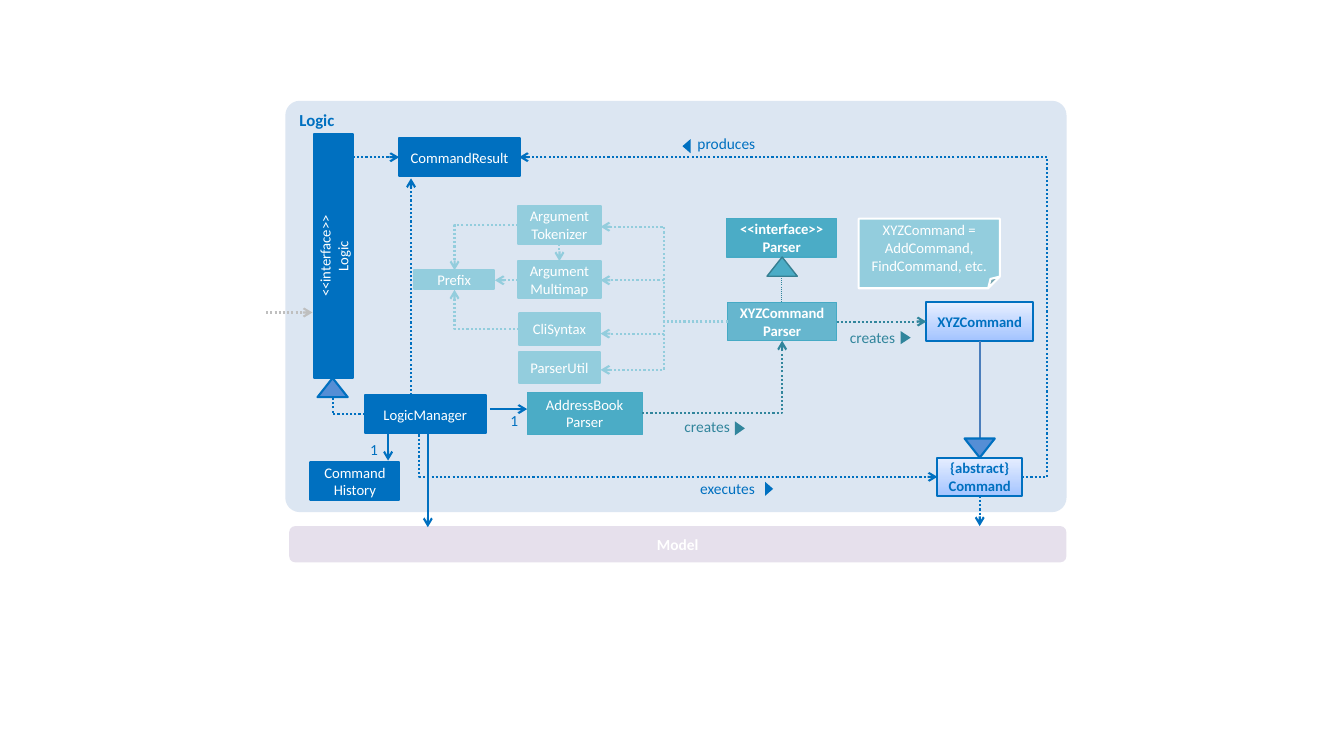
from lxml import etree
from pptx import Presentation
from pptx.dml.color import RGBColor
from pptx.enum.dml import MSO_LINE
from pptx.enum.shapes import MSO_CONNECTOR, MSO_SHAPE
from pptx.enum.text import MSO_ANCHOR, PP_ALIGN
from pptx.oxml.ns import qn
from pptx.util import Pt

RECT, ROUNDED = MSO_SHAPE.RECTANGLE, MSO_SHAPE.ROUNDED_RECTANGLE
TRIANGLE, NOTE = MSO_SHAPE.ISOSCELES_TRIANGLE, MSO_SHAPE.FOLDED_CORNER
STRAIGHT, ELBOW = MSO_CONNECTOR.STRAIGHT, MSO_CONNECTOR.ELBOW
SOLID, DOTTED = MSO_LINE.SOLID, MSO_LINE.ROUND_DOT
TOP, MIDDLE = MSO_ANCHOR.TOP, MSO_ANCHOR.MIDDLE
LEFT, CENTER, RIGHT = PP_ALIGN.LEFT, PP_ALIGN.CENTER, PP_ALIGN.RIGHT

WHITE = RGBColor(0xFF, 0xFF, 0xFF)
BLUE = RGBColor(0x00, 0x70, 0xC0)
MID_BLUE = RGBColor(0x55, 0x8E, 0xD5)
STEEL = RGBColor(0x4B, 0x7E, 0xBC)
PANEL = RGBColor(0xDC, 0xE6, 0xF2)
LILAC = RGBColor(0xE6, 0xE0, 0xEC)
TEAL = RGBColor(0x4B, 0xAC, 0xC6)
TEAL_EDGE = RGBColor(0x46, 0xAA, 0xC5)
TEAL_RIM = RGBColor(0x37, 0x7F, 0x92)
DARK_TEAL = RGBColor(0x31, 0x85, 0x9C)
PALE_TEAL = RGBColor(0x93, 0xCD, 0xDD)
GRAY = RGBColor(0xBF, 0xBF, 0xBF)
GRADIENT = (RGBColor(0xA4, 0xC4, 0xFF), RGBColor(0xE6, 0xEE, 0xFF))

deck = Presentation()
deck.slide_width, deck.slide_height = Pt(960), Pt(540)
page = deck.slides.add_slide(deck.slide_layouts[6])


def add_box(kind, frame, fill, edge=None, weight=1.5, rotation=0):
    box = page.shapes.add_shape(kind, *map(Pt, frame))
    box.shadow.inherit = False
    box.rotation = rotation
    if fill is GRADIENT:
        box.fill.gradient()
        box.fill.gradient_angle = 90
        for stop, color in zip(box.fill.gradient_stops, fill):
            stop.color.rgb = color
    else:
        box.fill.solid()
        box.fill.fore_color.rgb = fill
    if edge is None:
        box.line.fill.background()
    else:
        box.line.color.rgb = edge
        box.line.width = Pt(weight)
    return box


def write(box, text, color, size=10.5, bold=False, align=CENTER, anchor=MIDDLE, margin=0):
    frame = box.text_frame
    frame.text = text
    layout = {"word_wrap": True, "vertical_anchor": anchor, "margin_left": Pt(margin),
              "margin_right": Pt(margin), "margin_top": Pt(margin / 2), "margin_bottom": Pt(margin / 2)}
    for name, value in layout.items():
        setattr(frame, name, value)
    for para in frame.paragraphs:
        para.alignment = align
        for span in para.runs:
            span.font.color.rgb = color
            for name, value in {"name": "Calibri", "size": Pt(size), "bold": bold}.items():
                setattr(span.font, name, value)


logic_panel = add_box(ROUNDED, (203.8, 72, 558, 293.8), PANEL)
logic_panel.adjustments[0] = 0.035
write(logic_panel, "Logic", BLUE, 12, True, LEFT, TOP, 7.2)
model_bar = add_box(ROUNDED, (206.6, 375.8, 555.1, 25.9), LILAC)
write(model_bar, "Model", WHITE, 11, True)

STYLES = {
    "core": (BLUE, BLUE, 1.5, WHITE, False),
    "command": (GRADIENT, BLUE, 1.5, BLUE, True),
    "parser": (TEAL, TEAL_EDGE, 0.75, WHITE, False),
    "parser type": (TEAL, TEAL_EDGE, 0.75, WHITE, True),
    "helper": (PALE_TEAL, PALE_TEAL, 1.5, WHITE, False),
    "note": (PALE_TEAL, WHITE, 1.5, WHITE, False),
}
CLASSES = [
    ("CommandResult", "core", (285.1, 98.6, 86.4, 27.4)),
    ("LogicManager", "core", (260.6, 282.2, 86.4, 27.4)),
    ("Command\nHistory", "core", (221.8, 329.8, 63.4, 27.4)),
    ("<<interface>>\nLogic", "core", (151.2, 169.2, 174.2, 27.4)),
    ("XYZCommand", "command", (661.7, 216, 76.3, 27.4)),
    ("{abstract}\nCommand", "command", (669.6, 326.9, 60.5, 27.4)),
    ("AddressBook\nParser", "parser", (376.6, 280.1, 82.1, 30.2)),
    ("<<interface>>\nParser", "parser type", (519.1, 156.2, 78.5, 27.4)),
    ("XYZCommand\nParser", "parser type", (519.8, 216, 77.8, 27.4)),
    ("Argument\nTokenizer", "helper", (370.1, 146.9, 59, 27.4)),
    ("Argument\nMultimap", "helper", (370.1, 186.5, 59, 26.6)),
    ("Prefix", "helper", (295.9, 193, 56.9, 13.7)),
    ("CliSyntax", "helper", (370.8, 223.9, 57.6, 22.3)),
    ("ParserUtil", "helper", (370.8, 251.3, 57.6, 22.3)),
    ("XYZCommand = AddCommand, FindCommand, etc.", "note", (613.4, 156.2, 100.8, 49.7)),
]
boxes = {}
for text, style, frame in CLASSES:
    fill, edge, weight, color, bold = STYLES[style]
    box = add_box(NOTE if style == "note" else RECT, frame, fill, edge, weight)
    write(box, text, color, bold=bold)
    boxes[text] = box
boxes["<<interface>>\nLogic"].rotation = 270
parser_fill = boxes["XYZCommand\nParser"].fill._xPr.find(qn("a:solidFill"))
etree.SubElement(parser_fill[0], qn("a:alpha"), val="81000")

FAN_START = (519.8, 229.7)
LINKS = [
    ((730.1, 340.6), (370.8, 112.3), BLUE, 1.5, DOTTED, True, -0.05),
    ((299.5, 310.3), (669.6, 340.6), BLUE, 1.5, DOTTED, True, 0),
    ((260.6, 295.9), (237.6, 283.7), BLUE, 1.5, DOTTED, False, "corner"),
    ((252, 112.3), (285.1, 112.3), BLUE, 1.5, DOTTED, True, None),
    ((699.8, 354.2), (699.8, 375.8), BLUE, 1.5, DOTTED, True, None),
    ((293.6, 282.2), (293.6, 127.4), BLUE, 1.5, DOTTED, True, None),
    ((305.6, 309.6), (305.6, 376.6), BLUE, 1.5, SOLID, True, None),
    ((277.2, 310.3), (277.2, 329), BLUE, 1.5, SOLID, True, None),
    ((350, 292.2), (376.6, 292.2), BLUE, 1.5, SOLID, True, None),
    ((190.1, 223.2), (223.2, 223.2), GRAY, 1.5, DOTTED, True, None),
    ((699.8, 313.2), (699.8, 243.4), STEEL, 1.5, SOLID, False, None),
    ((597.6, 229.7), (661.7, 229.7), DARK_TEAL, 1.5, DOTTED, True, None),
    ((458.6, 295.2), (558.7, 243.4), DARK_TEAL, 1.5, DOTTED, True, "corner"),
    ((558.4, 197.3), (558.4, 216), DARK_TEAL, 0.75, DOTTED, False, None),
    ((370.8, 234.7), (324.7, 207), PALE_TEAL, 1.5, DOTTED, True, "corner"),
    ((370.1, 160.6), (324.7, 193), PALE_TEAL, 1.5, DOTTED, True, "corner"),
    ((370.1, 200.2), (353.5, 200.2), PALE_TEAL, 1.5, DOTTED, True, None),
    ((399.6, 174.2), (399.6, 186.5), PALE_TEAL, 1.5, DOTTED, True, None),
]
for helper_y in (162, 200.2, 238.3, 264.2):
    LINKS.append((FAN_START, (429, helper_y), PALE_TEAL, 1.5, DOTTED, True, 0.5))

for start, end, color, weight, dash, arrow, bend in LINKS:
    kind = STRAIGHT if bend is None else ELBOW
    link = page.shapes.add_connector(kind, *map(Pt, start + end))
    for name, value in {"width": Pt(weight), "dash_style": dash}.items():
        setattr(link.line, name, value)
    link.line.color.rgb = color
    properties = link._element.spPr
    geometry = properties.find(qn("a:prstGeom"))
    if bend == "corner":
        geometry.set("prst", "bentConnector2")
    elif bend is not None:
        guides = geometry.find(qn("a:avLst"))
        etree.SubElement(guides, qn("a:gd"), name="adj1", fmla=f"val {round(bend * 100000)}")
    if arrow:
        etree.SubElement(properties.find(qn("a:ln")), qn("a:tailEnd"), type="arrow")
    etree.SubElement(properties, qn("a:effectLst"))

INHERITANCE = [
    (226.8, 270, MID_BLUE, BLUE, 1.5, 0),
    (689, 313.2, MID_BLUE, BLUE, 1.5, 180),
    (547.9, 183.6, TEAL, TEAL_RIM, 1, 0),
]
for left, top, fill, edge, weight, rotation in INHERITANCE:
    add_box(TRIANGLE, (left, top, 21.6, 13.7), fill, edge, weight, rotation)

MARKERS = [
    ((544.3, 346.3, 10.1, 5.8), BLUE, 90),
    ((485.3, 101.5, 10.1, 5.8), BLUE, 270),
    ((523.4, 302.4, 10.1, 7.2), DARK_TEAL, 90),
    ((642.2, 237.6, 9.4, 7.2), DARK_TEAL, 90),
]
for frame, fill, rotation in MARKERS:
    add_box(TRIANGLE, frame, fill, rotation=rotation)

LABELS = [
    ("executes", (481.7, 342, 57.6, 18), BLUE, RIGHT),
    ("produces", (498.2, 95.8, 57.6, 18), BLUE, LEFT),
    ("1", (360, 293.8, 10.1, 18), BLUE, RIGHT),
    ("1", (259.9, 314.6, 10.1, 18), BLUE, RIGHT),
    ("creates", (488.9, 298.1, 43.9, 20.2), DARK_TEAL, LEFT),
    ("creates", (607, 234.7, 46.8, 17.3), DARK_TEAL, LEFT),
]
for text, frame, color, align in LABELS:
    label = page.shapes.add_textbox(*map(Pt, frame))
    write(label, text, color, 11, align=align, anchor=TOP)

deck.save("out.pptx")
